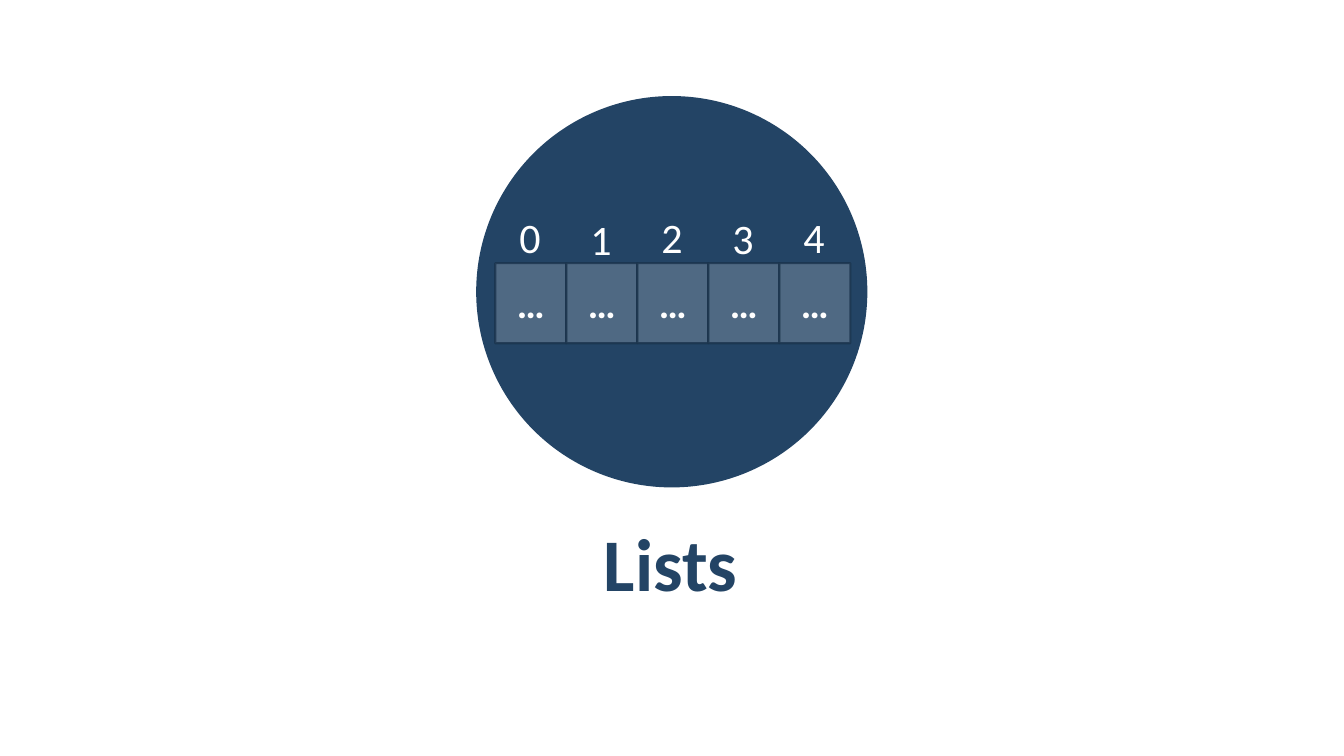
from pptx import Presentation
from pptx.dml.color import RGBColor
from pptx.enum.shapes import MSO_SHAPE
from pptx.enum.text import MSO_ANCHOR, MSO_AUTO_SIZE, PP_ALIGN
from pptx.oxml.ns import qn
from pptx.util import Inches, Pt
from lxml.etree import SubElement

PX = 9080
COLORS = {"navy": "234465", "edge": "1A334C", "white": "FFFFFF"}


class ListSlide:
    """Draw styled elements on one title-only slide."""

    def __init__(self, deck, font="Calibri"):
        """Add the page and keep its font."""
        self.page = deck.slides.add_slide(deck.slide_layouts[5])
        self.font = font

    def color(self, name):
        """Return a named colour."""
        return RGBColor.from_string(COLORS[name])

    def paint(self, fill, name, opacity=100):
        """Give a fill a solid colour and an opacity in percent."""
        fill.solid()
        fill.fore_color.rgb = self.color(name)
        if opacity < 100:
            tint = fill._xPr.find(qn("a:solidFill"))[0]
            SubElement(tint, qn("a:alpha"), val=str(opacity * 1000))

    def place(self, shape, *bounds):
        """Set left, top, width and height in px."""
        for name, value in zip(("left", "top", "width", "height"), bounds):
            setattr(shape, name, value * PX)

    def add_text(self, box, text, size, color, bold=False, insets=(0.1, 0.05),
                 align=PP_ALIGN.CENTER, spacing=1.0, **frame_format):
        """Add one formatted paragraph."""
        frame = box.text_frame
        side, edge = (Inches(inset) for inset in insets)
        frame_values = {"margin_left": side, "margin_right": side,
                        "margin_top": edge, "margin_bottom": edge,
                        "vertical_anchor": MSO_ANCHOR.MIDDLE, "word_wrap": True,
                        "auto_size": MSO_AUTO_SIZE.NONE, **frame_format}
        para = frame.paragraphs[0]
        span = para.add_run()
        formats = ((frame, frame_values),
                   (para, {"alignment": align, "line_spacing": spacing}),
                   (span, {"text": text}),
                   (span.font, {"name": self.font, "size": Pt(size), "bold": bold}))
        for target, values in formats:
            for name, value in values.items():
                setattr(target, name, value)
        span.font.color.rgb = self.color(color)

    def title(self, text, *bounds):
        """Fill the title placeholder."""
        box = self.page.shapes.title
        self.place(box, *bounds)
        self.add_text(box, text, 53, "navy", bold=True, insets=(0.12, 0.04))

    def shape(self, kind, color, *bounds, opacity=100):
        """Add a filled shape without an outline."""
        shape = self.page.shapes.add_shape(kind, *(value * PX for value in bounds))
        shape.shadow.inherit = False
        self.paint(shape.fill, color, opacity)
        shape.line.fill.background()
        return shape

    def cell(self, text, *bounds):
        """Add a translucent list cell."""
        box = self.shape(MSO_SHAPE.RECTANGLE, "white", *bounds, opacity=20)
        self.paint(box.line.fill, "edge", 80)
        box.line.width = Pt(1.5)
        self.add_text(box, text, 28, "white", bold=True)

    def label(self, text, *bounds):
        """Add an index label."""
        box = self.page.shapes.add_textbox(*(value * PX for value in bounds))
        self.add_text(box, text, 30, "white", insets=(0.16, 0.12), align=PP_ALIGN.LEFT,
                      spacing=1.1, vertical_anchor=MSO_ANCHOR.TOP, word_wrap=False,
                      auto_size=MSO_AUTO_SIZE.SHAPE_TO_FIT_TEXT)


def main():
    """Build and save the deck."""
    deck = Presentation()
    deck.slide_width, deck.slide_height = Inches(13.34), Inches(7.5)
    slide = ListSlide(deck)
    slide.shape(MSO_SHAPE.OVAL, "navy", 476, 96, 391, 391)
    slide.title("Lists", 67, 519, 1207, 85)
    left, pitch = 495, 71
    for index in range(5):
        slide.cell("…", left + index * pitch, 263, pitch, 80)
    for index, top in enumerate((194, 196, 194, 195, 194)):
        slide.label(str(index), left + 8 + index * pitch, top, 53, 80)
    deck.save("out.pptx")


if __name__ == "__main__":
    main()
